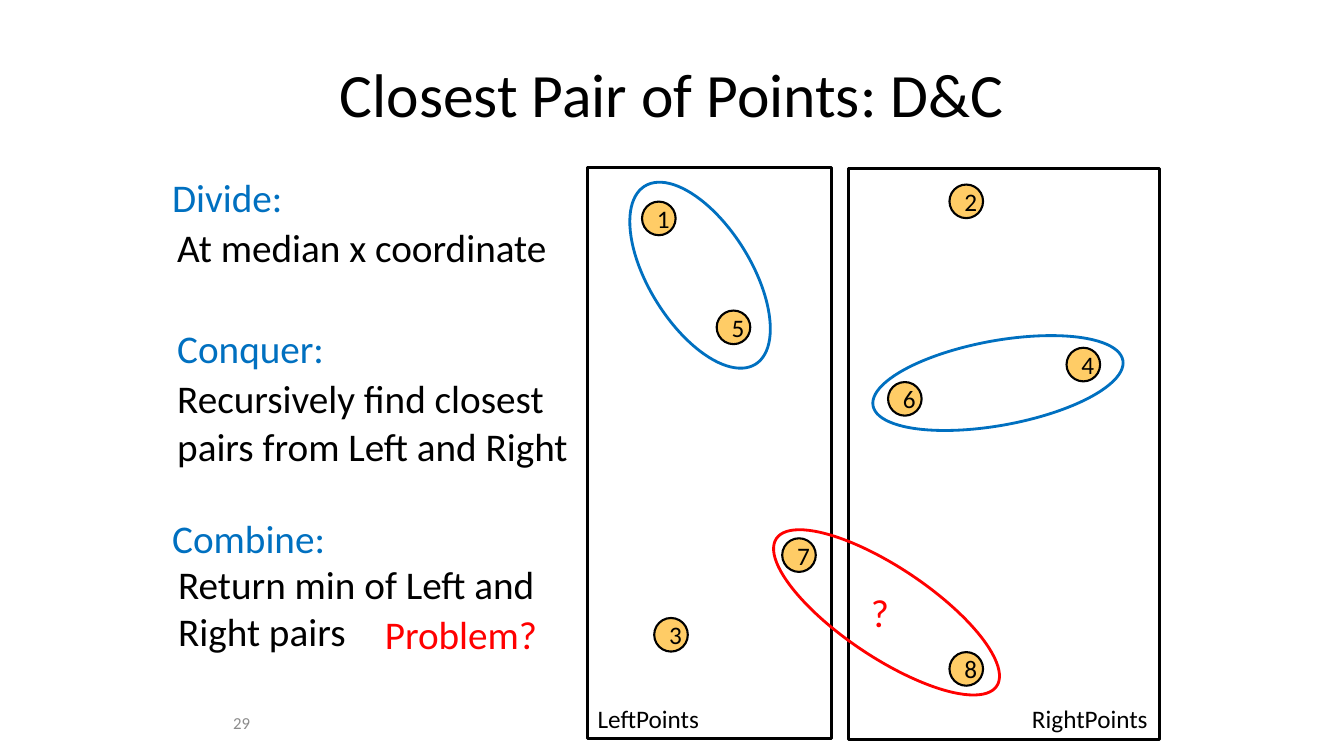
from pptx import Presentation
from pptx.dml.color import RGBColor
from pptx.enum import shapes, text
from pptx.util import Pt

BLACK = RGBColor(0x00, 0x00, 0x00)
BLUE = RGBColor(0x00, 0x70, 0xC0)
RED = RGBColor(0xFF, 0x00, 0x00)
GRAY = RGBColor(0x8C, 0x8C, 0x8C)
YELLOW = RGBColor(0xFF, 0xCC, 0x66)
FONT = "Calibri"
POINT_SIZE = 24

HALVES = [(606.2, 120.2, 221.8, 408.2), (419.8, 119.5, 174.2, 408.2)]
POINTS = [
    (458.6, 144), (678.2, 131.8), (467.3, 441.4), (761.8, 248.4),
    (511.9, 221.8), (634.3, 272.9), (558.7, 384.5), (678.2, 465.8),
]
PAIRS = [
    ((463.7, 121.7, 72.7, 149.8), 328.1, BLUE),
    ((682.6, 182.9, 60.5, 181.4), 259.7, BLUE),
    ((601.2, 342.7, 64.1, 189.4), 303.8, RED),
]
STEPS = [
    ("Divide:", (115.9, 120.2, 303.8, 41.2), BLUE),
    ("At median x coordinate", (119.5, 156.2, 303.8, 41.2), BLACK),
    ("Conquer:", (119.5, 228.2, 303.8, 41.2), BLUE),
    ("Recursively find closest pairs from Left and Right",
     (119.5, 264.2, 303.8, 75), BLACK),
    ("Combine:", (115.9, 363.6, 303.8, 41.2), BLUE),
    ("Return min of Left and Right pairs", (120.2, 396.7, 303.8, 75), BLACK),
    ("Problem?", (267.8, 432.7, 126, 41.2), RED),
    ("?", (614.9, 416.9, 36.7, 41.2), RED),
]
HALF_LABELS = [
    ("LeftPoints", (419.8, 499, 87.8, 28.8)),
    ("RightPoints", (730.1, 499, 97.9, 28.8)),
]


def in_points(box):
    return [Pt(length) for length in box]


def write(frame, wording, size, color, align=text.PP_ALIGN.LEFT):
    frame.text = wording
    line = frame.paragraphs[0]
    line.alignment = align
    font = line.runs[0].font
    font.name = FONT
    font.size = Pt(size)
    font.color.rgb = color


def add_title(slide, wording):
    title = slide.shapes.title
    title.left, title.top, title.width, title.height = in_points((48, 21.6, 864, 90))
    title.text_frame.vertical_anchor = text.MSO_ANCHOR.MIDDLE
    write(title.text_frame, wording, 44, BLACK, text.PP_ALIGN.CENTER)


def add_outline(slide, kind, box, color, weight=2, rotation=0):
    outline = slide.shapes.add_shape(kind, *in_points(box))
    outline.shadow.inherit = False
    outline.fill.background()
    outline.line.color.rgb = color
    outline.line.width = Pt(weight)
    outline.rotation = rotation
    return outline


def add_point(slide, number, left, top):
    point = add_outline(slide, shapes.MSO_SHAPE.OVAL,
                        (left, top, POINT_SIZE, POINT_SIZE), BLACK, 1.5)
    point.fill.solid()
    point.fill.fore_color.rgb = YELLOW
    point.text_frame.vertical_anchor = text.MSO_ANCHOR.MIDDLE
    write(point.text_frame, str(number), 18, BLACK, text.PP_ALIGN.CENTER)


def add_label(slide, wording, box, size, color, wrap=True):
    frame = slide.shapes.add_textbox(*in_points(box)).text_frame
    frame.word_wrap = wrap
    frame.auto_size = text.MSO_AUTO_SIZE.SHAPE_TO_FIT_TEXT
    write(frame, wording, size, color)


def add_slide_number(slide, number):
    frame = slide.shapes.add_textbox(*in_points((18, 501.8, 167.8, 28.8))).text_frame
    frame.word_wrap = True
    frame.vertical_anchor = text.MSO_ANCHOR.MIDDLE
    write(frame, number, 12, GRAY, text.PP_ALIGN.RIGHT)


def main():
    deck = Presentation()
    deck.slide_width, deck.slide_height = Pt(960), Pt(540)
    slide = deck.slides.add_slide(deck.slide_layouts[5])

    add_title(slide, "Closest Pair of Points: D&C")
    for half in HALVES:
        add_outline(slide, shapes.MSO_SHAPE.RECTANGLE, half, BLACK)
    for number, (left, top) in enumerate(POINTS, start=1):
        add_point(slide, number, left, top)
    for pair, rotation, color in PAIRS:
        add_outline(slide, shapes.MSO_SHAPE.OVAL, pair, color, rotation=rotation)
    for wording, box, color in STEPS:
        add_label(slide, wording, box, 28, color)
    for wording, box in HALF_LABELS:
        add_label(slide, wording, box, 18, BLACK, wrap=False)
    add_slide_number(slide, "29")

    deck.save("out.pptx")


if __name__ == "__main__":
    main()
